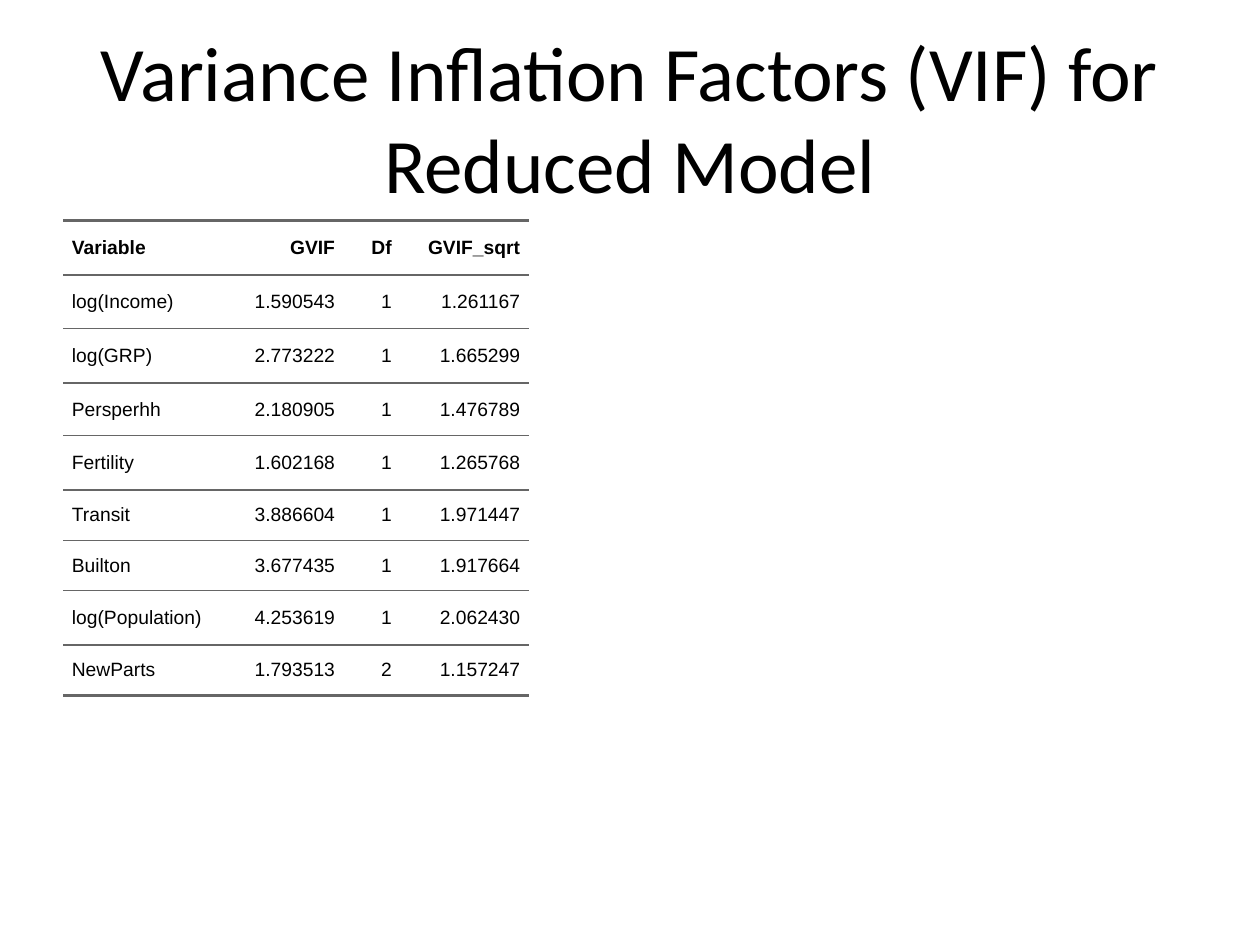
from pptx import Presentation
from pptx.dml.color import RGBColor
from pptx.enum.text import MSO_ANCHOR, PP_ALIGN
from pptx.oxml import parse_xml
from pptx.oxml.ns import nsdecls
from pptx.util import Inches, Pt

NO_GRID = "{2D5ABB26-0587-4C30-8999-92F81FD0307C}"
RULE = "666666"
THIN, THICK = 0.75, 1.5
PAD = Inches(0.07)

COLS = [1.31, 0.92, 0.45, 1.02]
HIGHS = [0.43, 0.43, 0.43, 0.42, 0.43, 0.4, 0.4, 0.43, 0.4]
ROWS = [
    ("Variable", "GVIF", "Df", "GVIF_sqrt"),
    ("log(Income)", "1.590543", "1", "1.261167"),
    ("log(GRP)", "2.773222", "1", "1.665299"),
    ("Persperhh", "2.180905", "1", "1.476789"),
    ("Fertility", "1.602168", "1", "1.265768"),
    ("Transit", "3.886604", "1", "1.971447"),
    ("Builton", "3.677435", "1", "1.917664"),
    ("log(Population)", "4.253619", "1", "2.062430"),
    ("NewParts", "1.793513", "2", "1.157247"),
]


def color(code):
    return RGBColor.from_string(code)


def write(frame, text, size=11, font="Arial", code="000000", bold=False,
          align=PP_ALIGN.LEFT, space=0, indent=0):
    para = frame.paragraphs[0]
    para.alignment = align
    para.space_before = para.space_after = Pt(space)
    if indent:
        props = para._p.get_or_add_pPr()
        for side in ("marL", "marR"):
            props.set(side, str(indent))
        props.set("indent", "0")
    run = para.add_run()
    run.text = text
    run.font.size = Pt(size)
    run.font.name = font
    run.font.bold = bold
    run.font.color.rgb = color(code)


def add_title(slide, text):
    box = slide.shapes.add_textbox(Inches(0.5), Inches(0.3), Inches(9), Inches(1.25))
    frame = box.text_frame
    frame.word_wrap = True
    frame.vertical_anchor = MSO_ANCHOR.MIDDLE
    write(frame, text, size=44, font="Calibri", align=PP_ALIGN.CENTER)


def add_rules(cell, top, bottom):
    """Draw the rules above and below a cell, with widths in points."""
    props = cell._tc.get_or_add_tcPr()
    for spot, (tag, width) in enumerate((("lnT", top), ("lnB", bottom))):
        props.insert(spot, parse_xml(
            f'<a:{tag} {nsdecls("a")} w="{Pt(width)}"><a:solidFill>'
            f'<a:srgbClr val="{RULE}"/></a:solidFill></a:{tag}>'))


def fill_cell(cell, text, **style):
    cell.margin_left = cell.margin_right = 0
    cell.margin_top = cell.margin_bottom = PAD
    cell.vertical_anchor = MSO_ANCHOR.MIDDLE
    cell.fill.background()
    write(cell.text_frame, text, space=5, indent=PAD, **style)


def add_grid(slide):
    shape = slide.shapes.add_table(
        len(ROWS), len(COLS), Inches(0.5), Inches(1.75),
        Inches(sum(COLS)), Inches(sum(HIGHS)))
    table = shape.table
    table.horz_banding = False
    table._tbl.tblPr[0].text = NO_GRID
    for col, width in zip(table.columns, COLS):
        col.width = Inches(width)
    for row, high in zip(table.rows, HIGHS):
        row.height = Inches(high)

    last = len(ROWS) - 1
    widths = [THICK, THICK] + [THIN] * (last - 1) + [THICK]
    for r, values in enumerate(ROWS):
        for c, text in enumerate(values):
            cell = table.cell(r, c)
            fill_cell(cell, text, bold=r == 0,
                      align=PP_ALIGN.RIGHT if c else PP_ALIGN.LEFT)
            add_rules(cell, widths[r], widths[r + 1])


def main():
    deck = Presentation()
    deck.slide_width, deck.slide_height = Inches(10), Inches(7.5)
    slide = deck.slides.add_slide(deck.slide_layouts[6])
    add_title(slide, "Variance Inflation Factors (VIF) for Reduced Model")
    add_grid(slide)
    deck.save("out.pptx")


if __name__ == "__main__":
    main()
